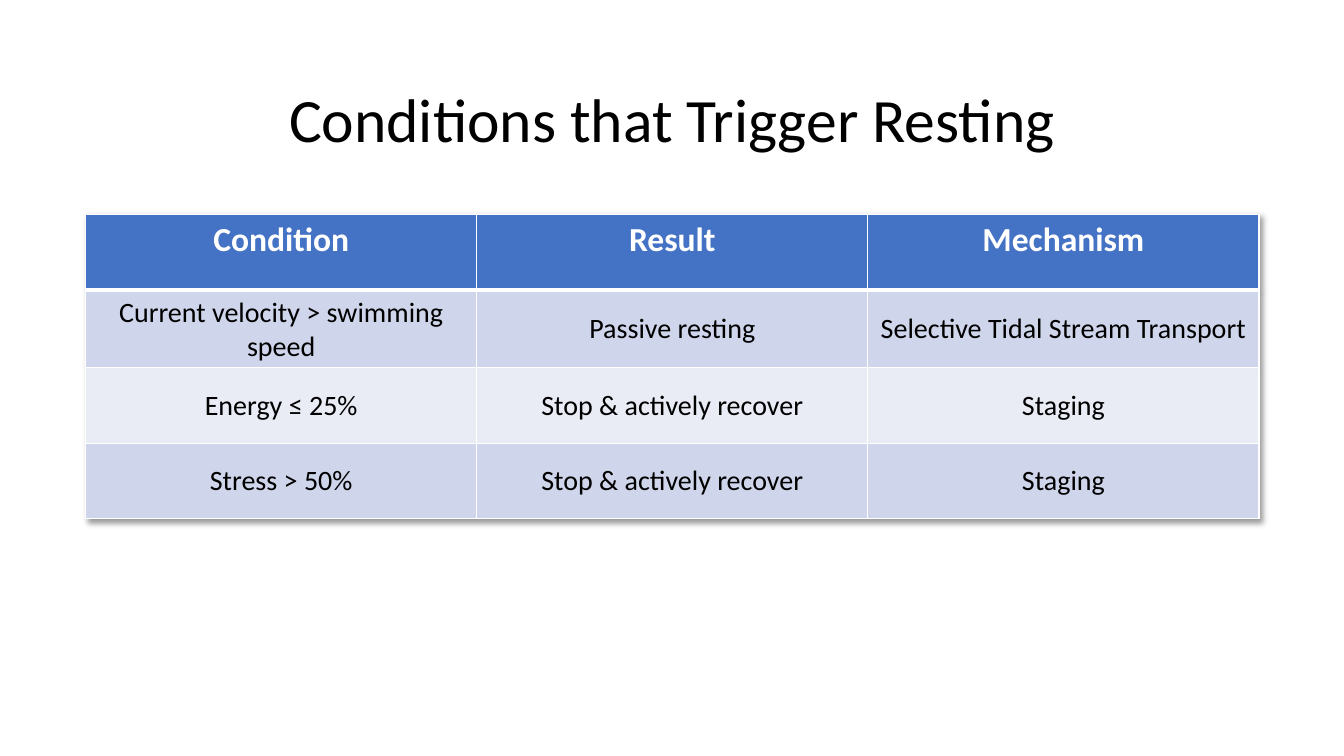
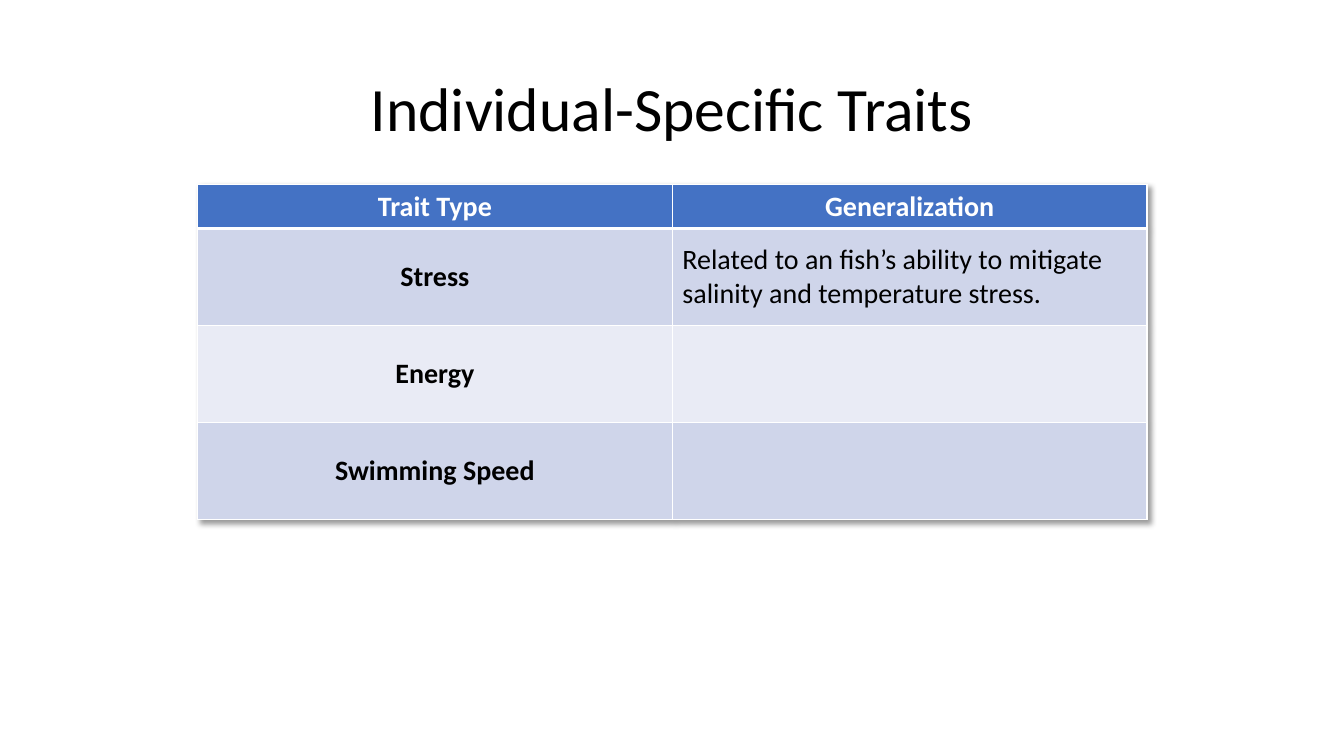
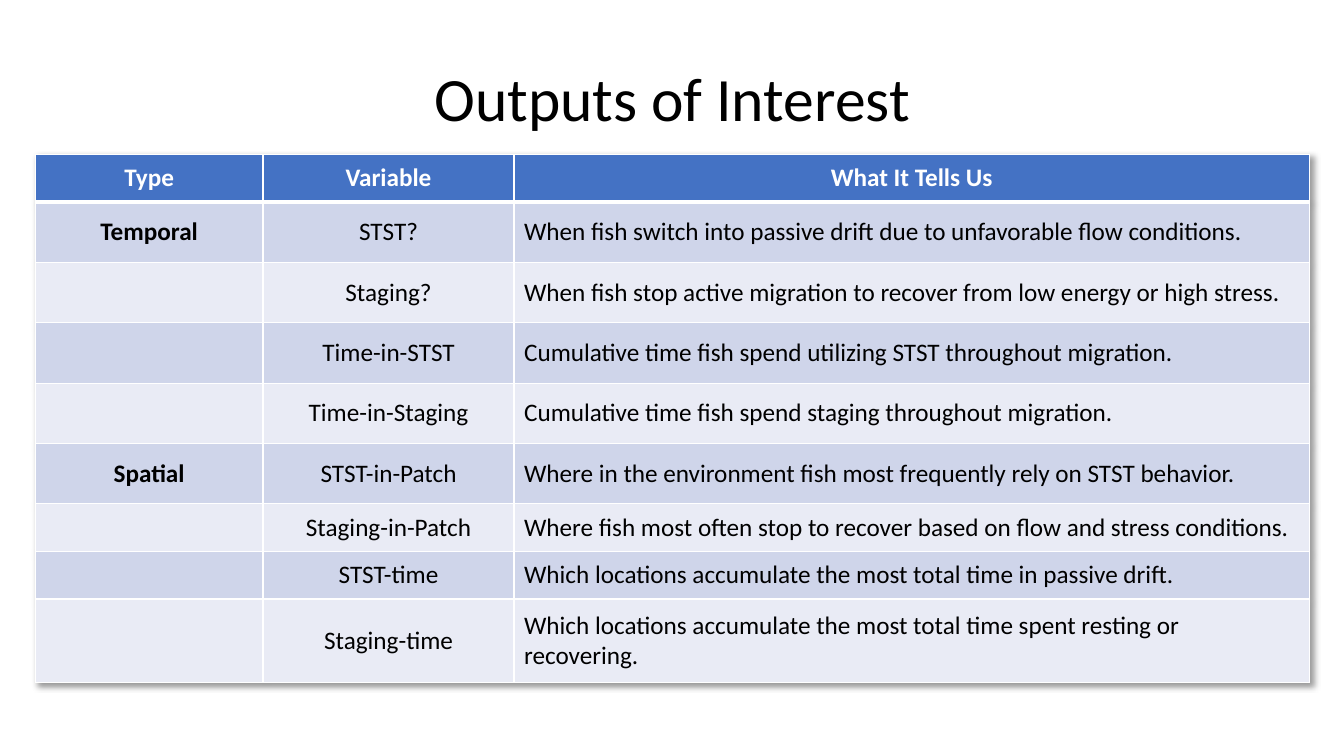
from lxml.etree import SubElement
from pptx import Presentation
from pptx.dml.color import RGBColor
from pptx.enum.text import MSO_ANCHOR, PP_ALIGN
from pptx.oxml import parse_xml
from pptx.oxml.ns import nsdecls, qn
from pptx.util import Pt

# Shared style
FONT = "Calibri"
BLACK = RGBColor(0x00, 0x00, 0x00)
WHITE = RGBColor(0xFF, 0xFF, 0xFF)
HEADER_BLUE = RGBColor(0x44, 0x72, 0xC4)
BANDS = (RGBColor(0xCF, 0xD5, 0xEA), RGBColor(0xE9, 0xEB, 0xF5))
THIN, THICK = 1, 3

CENTER, LEFT = PP_ALIGN.CENTER, PP_ALIGN.LEFT
TOP, MIDDLE = MSO_ANCHOR.TOP, MSO_ANCHOR.MIDDLE

# Table contents
CONDITIONS = [
    ("Condition", "Result", "Mechanism"),
    ("Current velocity > swimming speed", "Passive resting",
     "Selective Tidal Stream Transport"),
    ("Energy ≤ 25%", "Stop & actively recover", "Staging"),
    ("Stress > 50%", "Stop & actively recover", "Staging"),
]
TRAITS = [
    ("Trait Type", "Generalization"),
    ("Stress", "Related to an fish’s ability to mitigate salinity and "
               "temperature stress."),
    ("Energy", ""),
    ("Swimming Speed", ""),
]
OUTPUTS = [
    ("Type", "Variable", "What It Tells Us"),
    ("Temporal", "STST?",
     "When fish switch into passive drift due to unfavorable flow conditions."),
    ("", "Staging?",
     "When fish stop active migration to recover from low energy or high stress."),
    ("", "Time-in-STST",
     "Cumulative time fish spend utilizing STST throughout migration."),
    ("", "Time-in-Staging",
     "Cumulative time fish spend staging throughout migration."),
    ("Spatial", "STST-in-Patch",
     "Where in the environment fish most frequently rely on STST behavior."),
    ("", "Staging-in-Patch",
     "Where fish most often stop to recover based on flow and stress conditions."),
    ("", "STST-time",
     "Which locations accumulate the most total time in passive drift."),
    ("", "Staging-time",
     "Which locations accumulate the most total time spent resting or recovering."),
]


def add_text(tf, text, size, color, align, bold=False):
    p = tf.paragraphs[0]
    p.alignment = align
    if text:
        r = p.add_run()
        r.text = text
        r.font.name = FONT
        r.font.size = Pt(size)
        r.font.bold = bold
        r.font.color.rgb = color
    return p


def add_title(s, text, top):
    tf = s.shapes.add_textbox(Pt(66.24), Pt(top), Pt(828), Pt(104.4)).text_frame
    tf.word_wrap = True
    tf.vertical_anchor = MIDDLE
    add_text(tf, text, 44, BLACK, CENTER).line_spacing = 0.9


def set_borders(cell, top, bottom):
    tc_pr = cell._tc.get_or_add_tcPr()
    widths = {"a:lnL": THIN, "a:lnR": THIN, "a:lnT": top, "a:lnB": bottom}
    for tag, width in widths.items():
        ln = SubElement(tc_pr, qn(tag), w=str(Pt(width)))
        fill = SubElement(ln, qn("a:solidFill"))
        SubElement(fill, qn("a:srgbClr"), val=str(WHITE))


def add_shadow(table):
    table._tbl.tblPr.insert(0, parse_xml(
        f'<a:effectLst {nsdecls("a")}>'
        f'<a:outerShdw blurRad="{Pt(4)}" dist="{Pt(3)}" dir="2700000" '
        'algn="tl" rotWithShape="0"><a:srgbClr val="000000">'
        '<a:alpha val="40000"/></a:srgbClr></a:outerShdw></a:effectLst>'))


def add_banded_table(s, rows, left, top, widths, heights, size, aligns,
                     header_size=None, header_anchor=MIDDLE, bold_first=False):
    table = s.shapes.add_table(len(rows), len(widths), Pt(left), Pt(top),
                               Pt(sum(widths)), Pt(sum(heights))).table
    add_shadow(table)
    for column, width in zip(table.columns, widths):
        column.width = Pt(width)
    for i, (texts, height) in enumerate(zip(rows, heights)):
        table.rows[i].height = Pt(height)
        header = i == 0
        for j, text in enumerate(texts):
            cell = table.cell(i, j)
            # The thick rule lies between the header and the first body row
            set_borders(cell, THICK if i == 1 else THIN,
                        THICK if header else THIN)
            cell.fill.solid()
            cell.fill.fore_color.rgb = HEADER_BLUE if header else BANDS[(i - 1) % 2]
            cell.vertical_anchor = header_anchor if header else MIDDLE
            if header:
                add_text(cell.text_frame, text, header_size or size, WHITE,
                         CENTER, True)
            else:
                add_text(cell.text_frame, text, size, BLACK, aligns[j],
                         bold_first and j == 0)


def main():
    prs = Presentation()
    prs.slide_width, prs.slide_height = Pt(960), Pt(540)
    blank = prs.slide_layouts[6]

    # Resting conditions
    s = prs.slides.add_slide(blank)
    add_title(s, "Conditions that Trigger Resting", 35.28)
    add_banded_table(s, CONDITIONS, 61.2, 153.36, [279.36] * 3, [54] * 4, 20,
                     [CENTER] * 3, header_size=24, header_anchor=TOP)

    # Individual traits
    s = prs.slides.add_slide(blank)
    add_title(s, "Individual-Specific Traits", 27.36)
    add_banded_table(s, TRAITS, 141.12, 131.76, [339.12] * 2,
                     [31.5] + [69.3] * 3, 20, [CENTER, LEFT], bold_first=True)

    # Model outputs
    s = prs.slides.add_slide(blank)
    add_title(s, "Outputs of Interest", 20.16)
    add_banded_table(s, OUTPUTS, 25.2, 110.4, [162.72, 179.28, 568.08],
                     [34] + [43.1] * 5 + [34] * 2 + [60], 18,
                     [CENTER, CENTER, LEFT], bold_first=True)

    prs.save("out.pptx")


if __name__ == "__main__":
    main()
